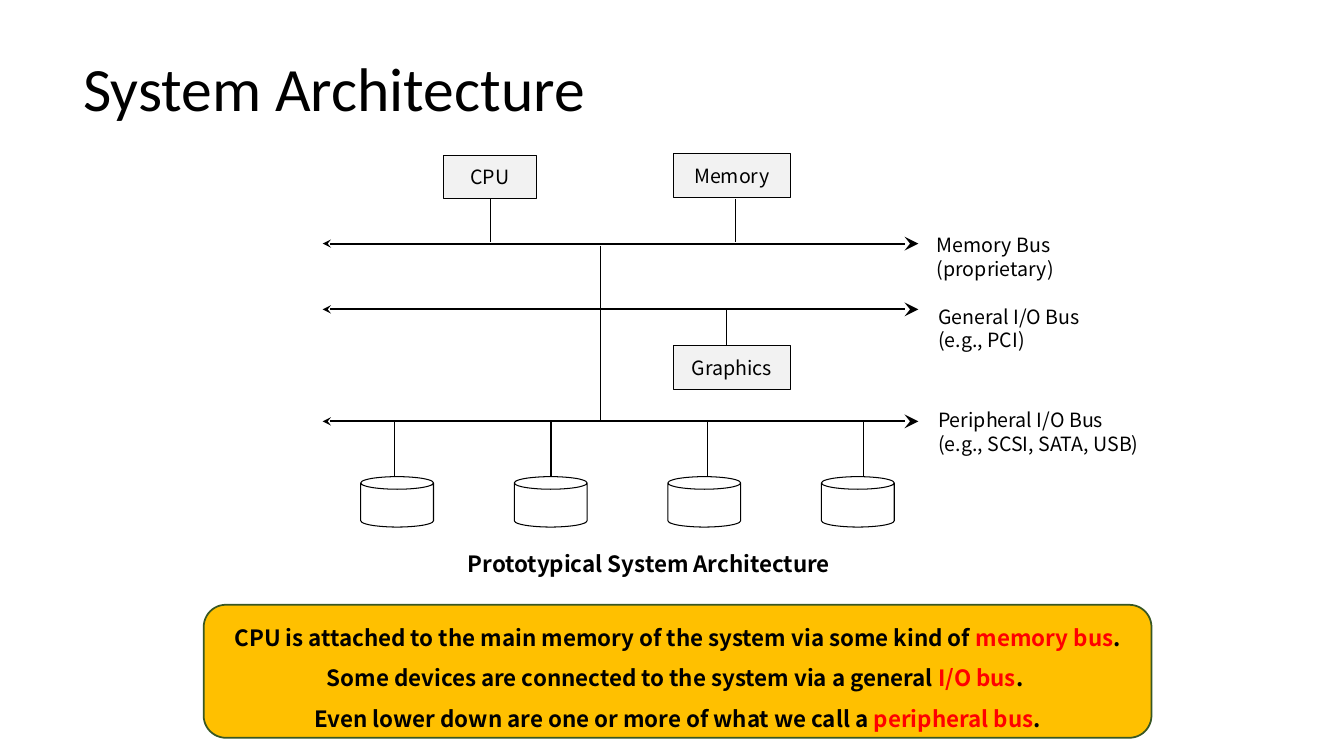
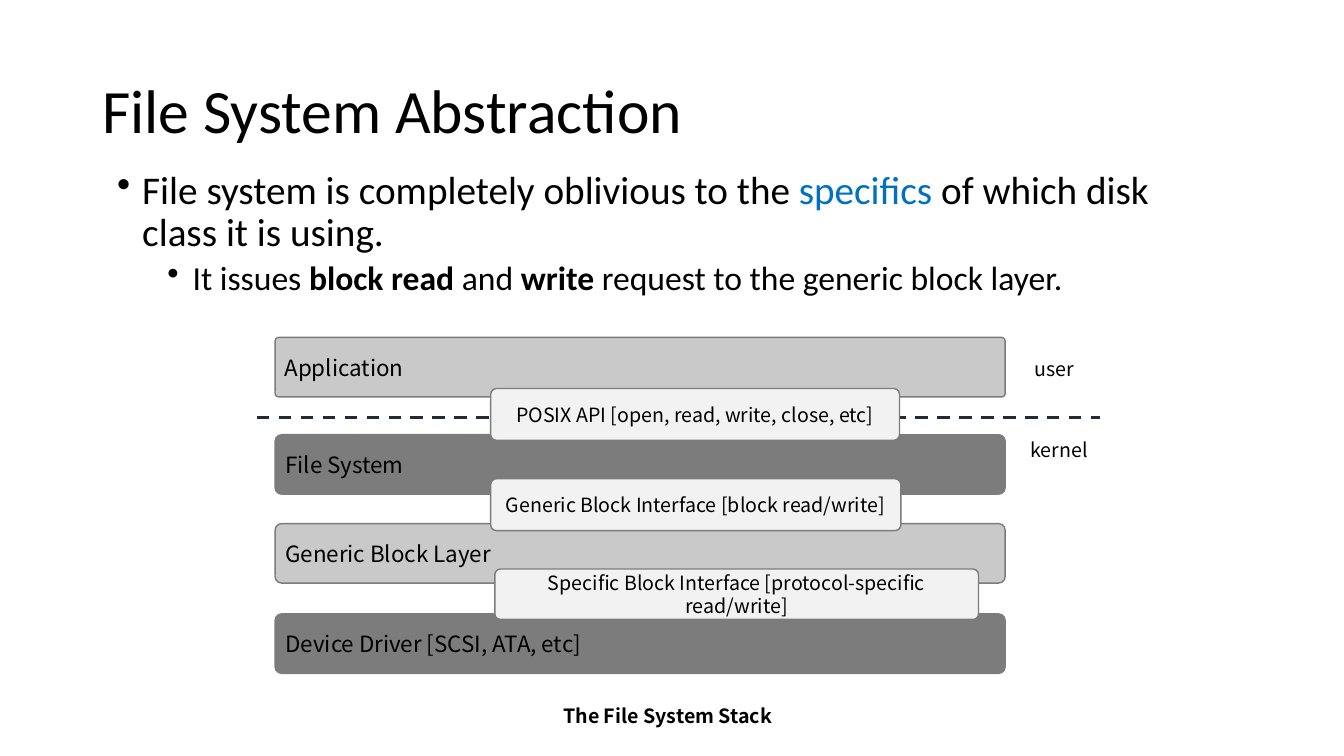
from dataclasses import dataclass
from typing import NamedTuple, Optional

import lxml.etree
import pptx
import pptx.dml.color
import pptx.enum.dml
import pptx.enum.shapes
import pptx.enum.text
import pptx.oxml.ns
import pptx.util

Pt = pptx.util.Pt
RGBColor = pptx.dml.color.RGBColor
Shape = pptx.enum.shapes.MSO_SHAPE
Align = pptx.enum.text.PP_ALIGN
Anchor = pptx.enum.text.MSO_ANCHOR

BLACK = RGBColor(0x00, 0x00, 0x00)
WHITE = RGBColor(0xFF, 0xFF, 0xFF)
RED = RGBColor(0xFF, 0x00, 0x00)
BLUE = RGBColor(0x00, 0x70, 0xC0)
GOLD = RGBColor(0xFF, 0xC0, 0x00)
GREEN = RGBColor(0x38, 0x57, 0x23)
NAVY = RGBColor(0x22, 0x2A, 0x35)
PALE_GRAY = RGBColor(0xF2, 0xF2, 0xF2)
LIGHT_GRAY = RGBColor(0xC9, 0xC9, 0xC9)
DARK_GRAY = RGBColor(0x7C, 0x7C, 0x7C)

TITLE_FONT = "Calibri"
DIAGRAM_FONT = "Noto Sans CJK KR"


class Box(NamedTuple):
    left: float
    top: float
    width: float
    height: float


class Span(NamedTuple):
    text: str
    color: Optional[RGBColor] = None
    bold: Optional[bool] = None


@dataclass
class Para:
    spans: list[Span]
    size: float = 14
    font: str = DIAGRAM_FONT
    bold: bool = False
    align: Align = Align.LEFT
    spacing: float = 1.0
    before: float = 0
    indent: Optional[float] = None


@dataclass
class Bus:
    y: float
    label: Box
    lines: tuple[str, str]


@dataclass
class Block:
    text: str
    box: Box
    fill: RGBColor
    rounding: float = 0.11


def plain(text: str, **style) -> Para:
    return Para([Span(text)], **style)


def write(frame, paras: list[Para], anchor=Anchor.TOP, inset: float = 7.2) -> None:
    frame.word_wrap = True
    frame.vertical_anchor = anchor
    frame.margin_left = frame.margin_right = Pt(inset)
    frame.margin_top = frame.margin_bottom = Pt(3.6)
    for index, para in enumerate(paras):
        paragraph = frame.add_paragraph() if index else frame.paragraphs[0]
        paragraph.alignment = para.align
        paragraph.line_spacing = para.spacing
        if index and para.before:
            paragraph.space_before = Pt(para.before)
        if para.indent is not None:
            add_bullet(paragraph, para.indent)
        paragraph.font.name = para.font
        paragraph.font.size = Pt(para.size)
        paragraph.font.bold = para.bold
        paragraph.font.color.rgb = BLACK
        for span in para.spans:
            run = paragraph.add_run()
            run.text = span.text
            if span.color is not None:
                run.font.color.rgb = span.color
            if span.bold is not None:
                run.font.bold = span.bold


def add_bullet(paragraph, indent: float) -> None:
    """Hang the paragraph at indent, with its bullet 18 points before it."""
    properties = paragraph._p.get_or_add_pPr()
    properties.set("marL", str(Pt(indent)))
    properties.set("indent", str(Pt(-18)))
    bullet = lxml.etree.SubElement(properties, pptx.oxml.ns.qn("a:buChar"))
    bullet.set("char", "•")


def add_text(page, box: Box, paras: list[Para], anchor=Anchor.TOP) -> None:
    text_box = page.shapes.add_textbox(*map(Pt, box))
    write(text_box.text_frame, paras, anchor)


def add_title(page, box: Box, text: str) -> None:
    title = plain(text, size=44, font=TITLE_FONT, spacing=0.9)
    add_text(page, box, [title], Anchor.MIDDLE)


def add_figure(page, kind: Shape, box: Box, fill: RGBColor,
               outline: RGBColor = BLACK, weight: float = 0.75):
    figure = page.shapes.add_shape(kind, *map(Pt, box))
    figure.shadow.inherit = False
    figure.fill.solid()
    figure.fill.fore_color.rgb = fill
    figure.line.color.rgb = outline
    figure.line.width = Pt(weight)
    return figure


def add_block(page, block: Block, size: float, align: Align) -> None:
    figure = add_figure(page, Shape.ROUNDED_RECTANGLE, block.box, block.fill,
                        DARK_GRAY, 1)
    figure.adjustments[0] = block.rounding
    write(figure.text_frame, [plain(block.text, size=size, align=align)],
          Anchor.MIDDLE, inset=6)


def add_line(page, x1: float, y1: float, x2: float, y2: float,
             weight: float, color: RGBColor = BLACK):
    line = page.shapes.add_connector(
        pptx.enum.shapes.MSO_CONNECTOR.STRAIGHT, *map(Pt, (x1, y1, x2, y2)))
    line.line.color.rgb = color
    line.line.width = Pt(weight)
    lxml.etree.SubElement(line._element.spPr, pptx.oxml.ns.qn("a:effectLst"))
    return line


def add_bus(page, bus: Bus) -> None:
    arrow = add_line(page, 230.5, bus.y, 656, bus.y, 1.5)
    outline = arrow.line._get_or_add_ln()
    for end, extent in (("a:headEnd", "med"), ("a:tailEnd", "lg")):
        tip = lxml.etree.SubElement(outline, pptx.oxml.ns.qn(end))
        tip.set("type", "stealth")
        tip.set("w", extent)
        tip.set("len", extent)
    add_text(page, bus.label, [plain(line) for line in bus.lines])


def build_architecture(page) -> None:
    add_title(page, Box(52.5, 13, 828, 104.5), "System Architecture")

    memory_y, general_y, peripheral_y = 174, 221, 301
    for bus in (
        Bus(memory_y, Box(662, 163, 115, 41), ("Memory Bus", "(proprietary)")),
        Bus(general_y, Box(663, 214, 130, 41),
            ("General I/O Bus", "(e.g., PCI)")),
        Bus(peripheral_y, Box(663, 288, 160, 41),
            ("Peripheral I/O Bus", "(e.g., SCSI, SATA, USB)")),
    ):
        add_bus(page, bus)

    for x, top, bottom, weight in (
        (350, 142, 173, 0.5),
        (525.5, 142, 173, 0.5),
        (429, 175.5, general_y, 0.5),
        (429, general_y, peripheral_y, 1),
        (518.5, general_y, 260, 0.5),
    ):
        add_line(page, x, top, x, bottom, weight)

    for text, box in (
        ("CPU", Box(316.5, 111, 67, 31)),
        ("Memory", Box(481, 110, 83.5, 31)),
        ("Graphics", Box(481, 247, 83.5, 31)),
    ):
        component = add_figure(page, Shape.RECTANGLE, box, PALE_GRAY)
        write(component.text_frame, [plain(text, align=Align.CENTER)],
              Anchor.MIDDLE, inset=0)

    disk_top = 340.5
    for index in range(4):
        cable_x = 282 + 111.6 * index
        add_line(page, cable_x, peripheral_y, cable_x, disk_top, 1)
        disk = Box(257.7 + 109.7 * index, disk_top, 52, 36)
        add_figure(page, Shape.CAN, disk, WHITE)

    add_text(page, Box(327, 389.5, 280, 26.5),
             [plain("Prototypical System Architecture", size=16, bold=True)])

    summary = add_figure(page, Shape.ROUNDED_RECTANGLE,
                         Box(145.5, 432, 677, 95), GOLD, GREEN, 1.25)
    sentences = (
        [Span("CPU is attached to the main memory of the system via some kind of "),
         Span("memory bus", RED),
         Span(". Some devices are connected to the system via a general "),
         Span("I/O bus", RED), Span(". ")],
        [Span("Even lower down are one or more of what we call a "),
         Span("peripheral bus", RED), Span(".")],
    )
    write(summary.text_frame,
          [Para(spans, size=16, bold=True, align=Align.CENTER, spacing=1.5)
           for spans in sentences],
          Anchor.MIDDLE, inset=8.5)


def build_abstraction(page) -> None:
    add_title(page, Box(66, 29, 828, 104.5), "File System Abstraction")
    add_text(page, Box(76.5, 118, 790.5, 331), [
        Para([Span("File system is completely oblivious to the "),
              Span("specifics", BLUE),
              Span(" of which disk class it is using.")],
             size=28, font=TITLE_FONT, spacing=0.9, indent=18),
        Para([Span("It issues "), Span("block read ", bold=True),
              Span("and "), Span("write", bold=True),
              Span(" request to the generic block layer.")],
             size=24, font=TITLE_FONT, spacing=0.9, before=5, indent=54),
    ])

    for text, top, fill, rounding in (
        ("Application", 241, LIGHT_GRAY, 0.06),
        ("File System", 310.5, DARK_GRAY, 0.11),
        ("Generic Block Layer", 374, LIGHT_GRAY, 0.11),
        ("Device Driver [SCSI, ATA, etc]", 438.5, DARK_GRAY, 0.11),
    ):
        layer = Block(text, Box(196.5, top, 521.5, 42.5), fill, rounding)
        add_block(page, layer, 16, Align.LEFT)

    boundary = add_line(page, 183.5, 298, 786, 298, 2.25, NAVY)
    boundary.line.dash_style = pptx.enum.dml.MSO_LINE.DASH

    for text, box in (
        ("POSIX API [open, read, write, close, etc]",
         Box(350.5, 277.5, 292, 37)),
        ("Generic Block Interface [block read/write]",
         Box(350.5, 342, 293, 37)),
        ("Specific Block Interface [protocol-specific read/write]",
         Box(353.5, 406.5, 345.5, 36)),
    ):
        add_block(page, Block(text, box, PALE_GRAY), 14, Align.CENTER)

    for text, box, bold in (
        ("user", Box(718, 251.5, 70, 24), False),
        ("kernel", Box(721.5, 309.5, 70, 24), False),
        ("The File System Stack", Box(281.5, 499, 391, 24), True),
    ):
        add_text(page, box, [plain(text, bold=bold, align=Align.CENTER)])


def main() -> None:
    deck = pptx.Presentation()
    deck.slide_width, deck.slide_height = Pt(960), Pt(540)
    for build in (build_architecture, build_abstraction):
        build(deck.slides.add_slide(deck.slide_layouts[6]))
    deck.save("out.pptx")


if __name__ == "__main__":
    main()
